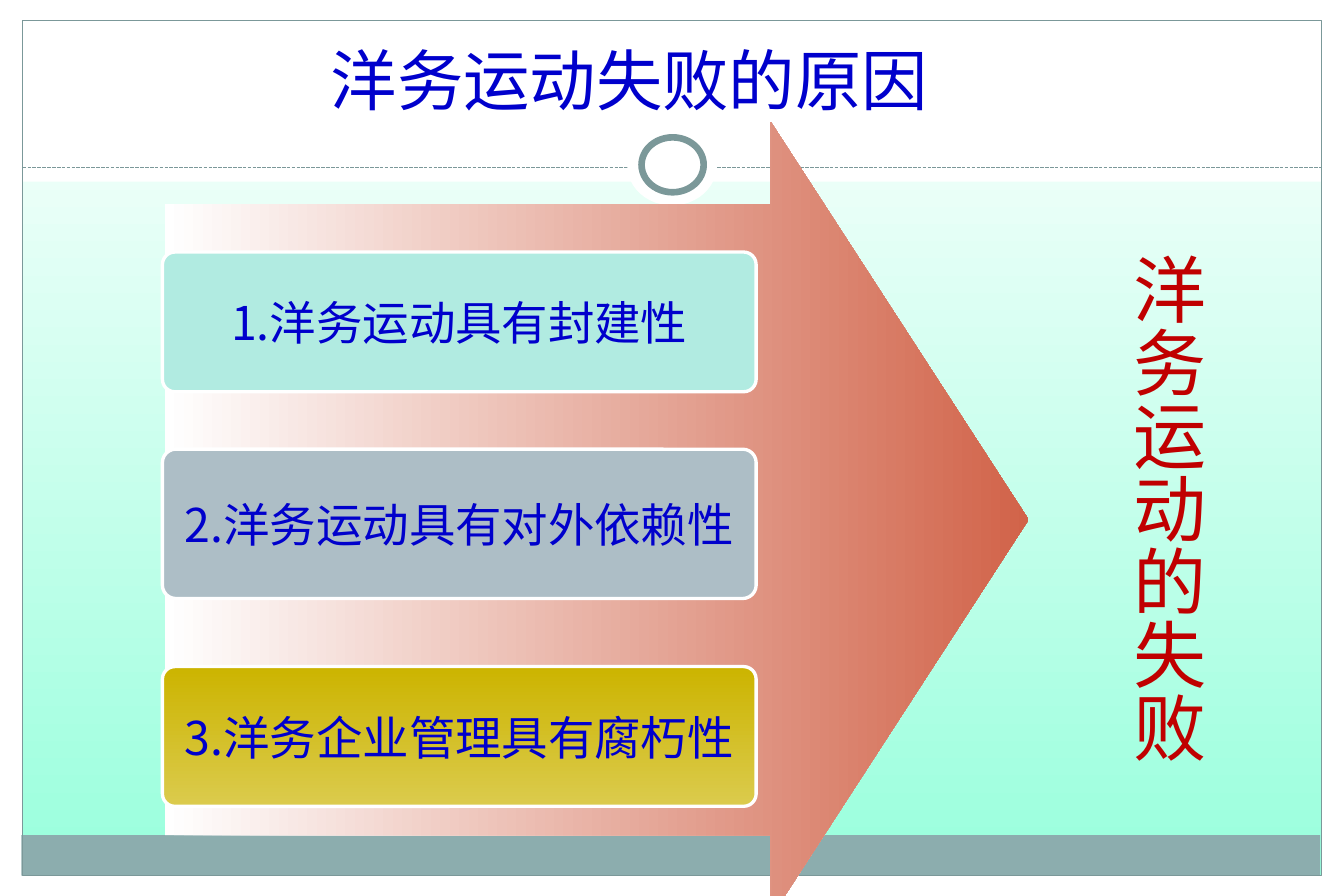
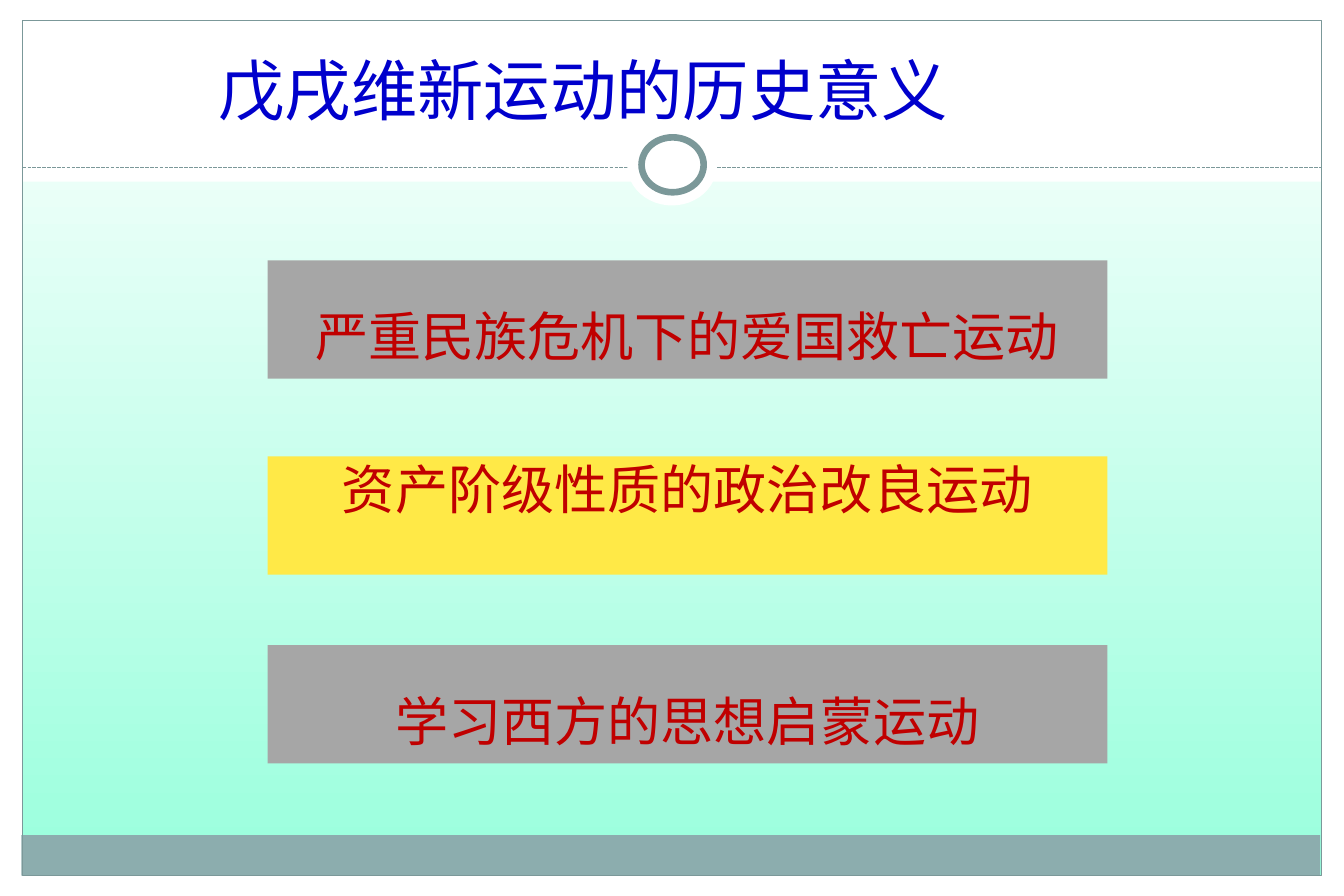
from dataclasses import dataclass

from lxml.etree import SubElement
from pptx import Presentation
from pptx.dml.color import RGBColor
from pptx.enum.dml import MSO_LINE
from pptx.enum.shapes import MSO_CONNECTOR, MSO_SHAPE
from pptx.enum.text import MSO_ANCHOR, MSO_AUTO_SIZE, PP_ALIGN
from pptx.oxml.ns import qn
from pptx.util import Inches, Pt

FONT = "Noto Sans CJK JP"
WHITE, BLUE, RED = "FFFFFF", "0000CC", "C00000"
FRAME, BAND, MINT = "7B9899", "8CADAE", "97FFDC"
GREY, YELLOW = "A6A6A6", "FFE947"
PAGE_WIDTH, PAGE_HEIGHT = 11.25, 7.5
RIGHT, DOWN = 0, 270
TITLE_HEIGHT = 0.77


@dataclass
class Area:
    left: float
    top: float
    width: float
    height: float

    def lengths(self) -> list:
        return [Inches(v) for v in (self.left, self.top, self.width, self.height)]


@dataclass
class Panel:
    """A preset shape; two fill colours make a gradient."""
    area: Area
    fills: tuple = ()
    line: str = ""
    line_width: float = 0.75
    kind: MSO_SHAPE = MSO_SHAPE.RECTANGLE
    adjustments: tuple = ()
    angle: int = DOWN


@dataclass
class Reason:
    text: str
    top: float
    height: float
    fills: tuple


@dataclass
class Meaning:
    text: str
    top: float
    fill: str
    anchor: MSO_ANCHOR = MSO_ANCHOR.MIDDLE
    inset: float = 0.05
    spacing: float = 1.5


FURNITURE = [
    Panel(Area(0, 7.33, PAGE_WIDTH, 0.17), (WHITE,)),
    Panel(Area(0, 0, PAGE_WIDTH, 1.52), (WHITE,)),
    Panel(Area(0, 0, 0.19, PAGE_HEIGHT), (WHITE,)),
    Panel(Area(11.06, 0, 0.19, PAGE_HEIGHT), (WHITE,)),
    Panel(Area(0.18, 6.99, 10.87, 0.34), (BAND,)),
    Panel(Area(0.19, 0.17, 10.87, 7.16), (), FRAME),
]
RING = [
    Panel(Area(5.25, 1.05, 0.75, 0.67), (WHITE,), kind=MSO_SHAPE.OVAL),
    Panel(Area(5.37, 1.15, 0.52, 0.46), (WHITE,), FRAME, 4, MSO_SHAPE.OVAL),
]
ARROW = Panel(Area(1.38, 1.02, 7.23, 6.66), (WHITE, "D16349"),
              kind=MSO_SHAPE.RIGHT_ARROW, adjustments=(0.793, 0.324), angle=RIGHT)
REASONS = [
    Reason("1.洋务运动具有封建性", 2.11, 1.17, ("B1EBE1",)),
    Reason("2.洋务运动具有对外依赖性", 3.76, 1.25, ("ADBEC6",)),
    Reason("3.洋务企业管理具有腐朽性", 5.58, 1.17, ("CCB400", "DBCB4D")),
]
MEANINGS = [
    Meaning("严重民族危机下的爱国救亡运动", 2.18, GREY),
    Meaning("资产阶级性质的政治改良运动", 3.82, YELLOW, MSO_ANCHOR.TOP, 0, 1),
    Meaning("学习西方的思想启蒙运动", 5.4, GREY),
]


def color(value: str) -> RGBColor:
    return RGBColor.from_string(value)


def paint(fill, colors: tuple, angle: int = DOWN) -> None:
    if not colors:
        fill.background()
    elif len(colors) == 1:
        fill.solid()
        fill.fore_color.rgb = color(colors[0])
    else:
        fill.gradient()
        fill.gradient_angle = angle
        for stop, value in zip(fill.gradient_stops, colors):
            stop.color.rgb = color(value)


def add_panel(page, panel: Panel):
    shape = page.shapes.add_shape(panel.kind, *panel.area.lengths())
    shape.shadow.inherit = False
    for index, value in enumerate(panel.adjustments):
        shape.adjustments[index] = value
    paint(shape.fill, panel.fills, panel.angle)
    paint(shape.line.fill, (panel.line,) if panel.line else ())
    if panel.line:
        shape.line.width = Pt(panel.line_width)
    return shape


def write(box, text: str, size: int, text_color: str,
          align: PP_ALIGN = PP_ALIGN.CENTER, anchor: MSO_ANCHOR = MSO_ANCHOR.MIDDLE) -> None:
    frame = box.text_frame
    frame.text = text
    frame.vertical_anchor = anchor
    paragraph = frame.paragraphs[0]
    paragraph.alignment = align
    for span in paragraph.runs:
        span.font.size = Pt(size)
        span.font.name = FONT
        span.font.color.rgb = color(text_color)
        SubElement(span.font._element, qn("a:ea"), typeface=FONT)


def add_divider(page):
    line = page.shapes.add_connector(
        MSO_CONNECTOR.STRAIGHT, Inches(0.19), Inches(1.4), Inches(11.06), Inches(1.4))
    line.line.color.rgb = color(FRAME)
    line.line.width = Pt(0.75)
    line.line.dash_style = MSO_LINE.SQUARE_DOT
    SubElement(line.element.spPr, qn("a:effectLst"))
    return line


def furnish_layout(layout, page) -> None:
    """Draw the shared frame on a page, then move it to the layout."""
    paint(layout.background.fill, (WHITE, MINT))
    for holder in list(layout.placeholders)[1:]:
        layout.shapes.element.remove(holder.element)
    shapes = [add_panel(page, panel) for panel in FURNITURE]
    shapes.append(add_divider(page))
    shapes += [add_panel(page, panel) for panel in RING]
    for shape in shapes:
        layout.shapes.element.append(shape.element)


def set_title(page, text: str, left: float, top: float, width: float) -> None:
    title = page.shapes.title
    title.left, title.top, title.width, title.height = Area(
        left, top, width, TITLE_HEIGHT).lengths()
    title.text_frame.auto_size = MSO_AUTO_SIZE.NONE
    write(title, text, 40, BLUE, PP_ALIGN.LEFT)


def add_outcome(page, text: str) -> None:
    """Add the vertical text to the right of the arrow."""
    box = page.shapes.add_textbox(*Area(9.26, 2.02, 0.93, 4.73).lengths())
    frame = box.text_frame
    frame.word_wrap = True
    frame.margin_left = frame.margin_right = Inches(0.05)
    frame.margin_top = frame.margin_bottom = Inches(0.1)
    frame._txBody.bodyPr.set("vert", "eaVert")
    write(box, text, 44, RED, anchor=MSO_ANCHOR.TOP)


def build_reasons(page) -> None:
    set_title(page, "洋务运动失败的原因", 2.67, 0.28, 6.03)
    add_panel(page, ARROW)
    add_outcome(page, "洋务运动的失败")
    for reason in REASONS:
        box = add_panel(page, Panel(
            Area(1.36, reason.top, 4.97, reason.height), reason.fills, WHITE, 2,
            MSO_SHAPE.ROUNDED_RECTANGLE, (0.09,)))
        box.text_frame.word_wrap = False
        write(box, reason.text, 28, BLUE)


def build_meanings(page) -> None:
    set_title(page, "戊戌维新运动的历史意义", 1.73, 0.36, 7.85)
    for meaning in MEANINGS:
        box = add_panel(page, Panel(Area(2.24, meaning.top, 7.03, 0.99), (meaning.fill,)))
        box.text_frame.margin_top = Inches(meaning.inset)
        write(box, meaning.text, 32, RED, anchor=meaning.anchor)
        box.text_frame.paragraphs[0].line_spacing = meaning.spacing


def main() -> None:
    deck = Presentation()
    deck.slide_width, deck.slide_height = Inches(PAGE_WIDTH), Inches(PAGE_HEIGHT)
    layout = deck.slide_layouts.get_by_name("Title Only")
    pages = []
    for build in (build_reasons, build_meanings):
        page = deck.slides.add_slide(layout)
        if not pages:
            furnish_layout(layout, page)
        build(page)
        pages.append(page)
    deck.save("out.pptx")


if __name__ == "__main__":
    main()
